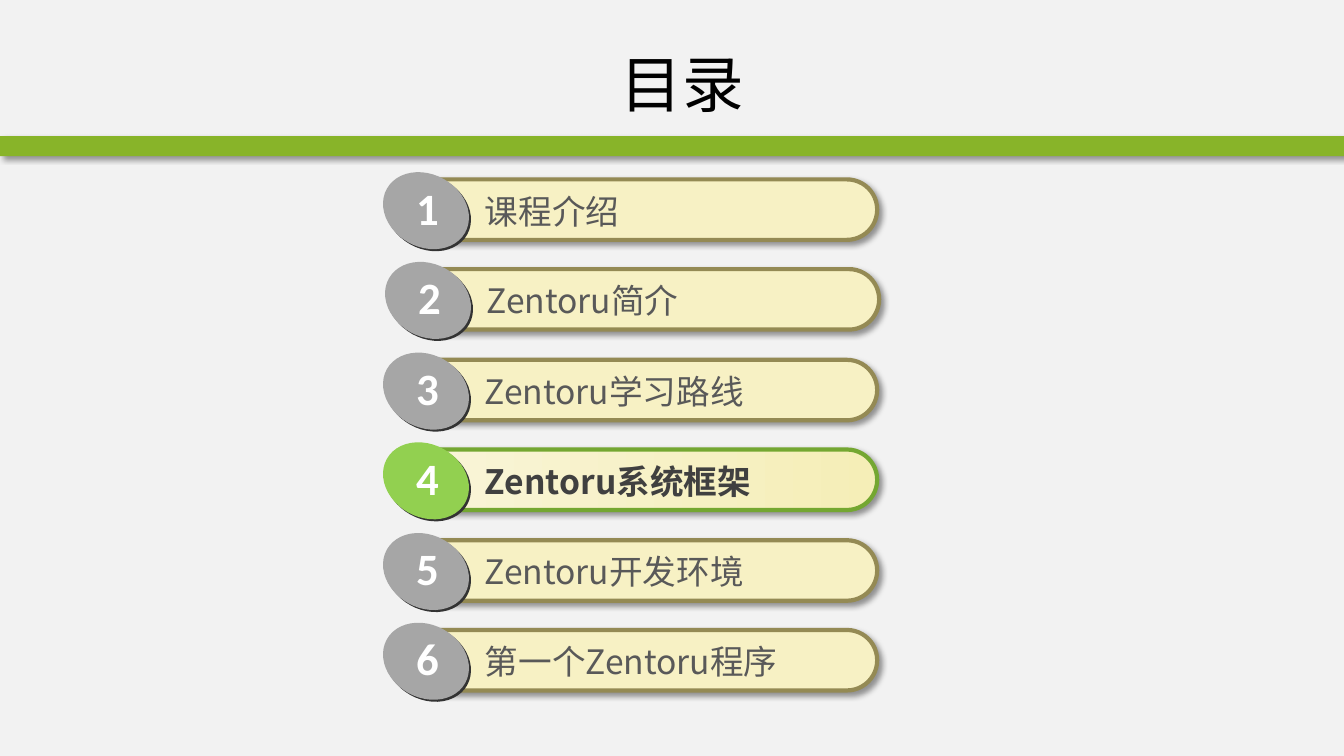
import pptx
import pptx.util
import pptx.dml.color
import pptx.enum.shapes
import pptx.enum.text
import pptx.oxml
import pptx.oxml.ns
import lxml.etree

# Content: label, horizontal shift in px
TITLE = "目录"
CHAPTERS = [
    ("课程介绍", 0),
    ("Zentoru简介", 2),
    ("Zentoru学习路线", 0),
    ("Zentoru系统框架", 0),
    ("Zentoru开发环境", 0),
    ("第一个Zentoru程序", 0),
]
CURRENT = 4

COLORS = {
    "page": "F2F2F2", "band": "88B429", "title": "000000", "shadow": "000000",
    "bar": "F7F1C4", "bar_edge": "948A54", "label": "595959",
    "now_from": "F9F5D9", "now_to": "F5EEB7", "now_edge": "74A731", "now_label": "404040",
    "rim": "333333", "badge": "A6A6A6", "now_badge": "92D050", "number": "FFFFFF",
}
CJK, LATIN = "Noto Sans CJK SC", "Calibri"

# Layout in px, 100 to the inch
PX = 9144
WIDTH, HEIGHT = 1333, 750
FIRST_TOP, LAST_TOP = 178, 625
TILT = 29.3
MSO = pptx.enum.shapes.MSO_SHAPE
FIT = pptx.enum.text.MSO_AUTO_SIZE


def color(name):
    return pptx.dml.color.RGBColor.from_string(COLORS[name])


def emu(*lengths):
    return [pptx.util.Emu(n * PX) for n in lengths]


def add_shape(shapes, kind, box, fill, edge=None, shadow=False):
    sp = shapes.add_shape(kind, *emu(*box))
    sp.shadow.inherit = False
    if isinstance(fill, tuple):
        sp.fill.gradient()
        sp.fill.gradient_angle = 0
        for stop, name, position in zip(sp.fill.gradient_stops, fill, (0, 1)):
            stop.color.rgb = color(name)
            stop.position = position
    else:
        sp.fill.solid()
        sp.fill.fore_color.rgb = color(fill)
    if edge:
        sp.line.color.rgb = color(edge)
        sp.line.width = pptx.util.Pt(3)
    else:
        sp.line.fill.background()
    if shadow:
        effects = sp._element.spPr.find(pptx.oxml.ns.qn("a:effectLst"))
        effects.append(pptx.oxml.parse_xml(
            f'<a:outerShdw {pptx.oxml.ns.nsdecls("a")} blurRad="50800" dist="38100" '
            f'dir="2700000" algn="tl" rotWithShape="0"><a:srgbClr val="{COLORS["shadow"]}">'
            '<a:alpha val="40000"/></a:srgbClr></a:outerShdw>'))
    return sp


def add_text(shapes, box, text, size, font, ink, bold=False, wrap=True, fit=FIT.SHAPE_TO_FIT_TEXT):
    tb = shapes.add_textbox(*emu(*box))
    tf = tb.text_frame
    tf.word_wrap = wrap
    tf.auto_size = fit
    p = tf.paragraphs[0]
    r = p.add_run()
    r.text = text
    r.font.size = pptx.util.Pt(size)
    r.font.name = font
    r.font.bold = bold
    r.font.color.rgb = color(ink)
    ea = lxml.etree.SubElement(r._r.get_or_add_rPr(), pptx.oxml.ns.qn("a:ea"))
    ea.set("typeface", font)
    return tf


def add_chapter(s, number, label, shift):
    now = number == CURRENT
    x = 399 + shift
    y = round(FIRST_TOP + (number - 1) * (LAST_TOP - FIRST_TOP) / (len(CHAPTERS) - 1))
    shapes = s.shapes.add_group_shape().shapes

    # Bar and label
    bar = add_shape(shapes, MSO.ROUNDED_RECTANGLE, (x, y, 471, 60),
                    ("now_from", "now_to") if now else "bar",
                    "now_edge" if now else "bar_edge", shadow=True)
    bar.adjustments[0] = 0.5
    add_text(shapes, (x + 72, y + 6, 375, 51), label, 24, CJK,
             "now_label" if now else "label", bold=now)

    # Numbered badge over its dark rim
    for dx, dy, fill in ((-19, -3, "rim"), (-21, -5, "now_badge" if now else "badge")):
        add_shape(shapes, MSO.OVAL, (x + dx, y + dy, 89, 72), fill).rotation = TILT
    add_text(shapes, (x + 4, y - 4, 43, 64), str(number), 32, LATIN, "number",
             bold=True, wrap=False)


def main():
    prs = pptx.Presentation()
    prs.slide_width, prs.slide_height = emu(WIDTH, HEIGHT)
    s = prs.slides.add_slide(prs.slide_layouts[6])
    s.background.fill.solid()
    s.background.fill.fore_color.rgb = color("page")

    # Header
    add_shape(s.shapes, MSO.RECTANGLE, (0, 135, WIDTH, 20), "band", shadow=True)
    tf = add_text(s.shapes, (139, 30, 1076, 105), TITLE, 44, CJK, "title", fit=FIT.NONE)
    tf.vertical_anchor = pptx.enum.text.MSO_ANCHOR.MIDDLE
    tf.paragraphs[0].alignment = pptx.enum.text.PP_ALIGN.CENTER

    # Chapter list
    for number, (label, shift) in enumerate(CHAPTERS, 1):
        add_chapter(s, number, label, shift)

    prs.save("out.pptx")


if __name__ == "__main__":
    main()
